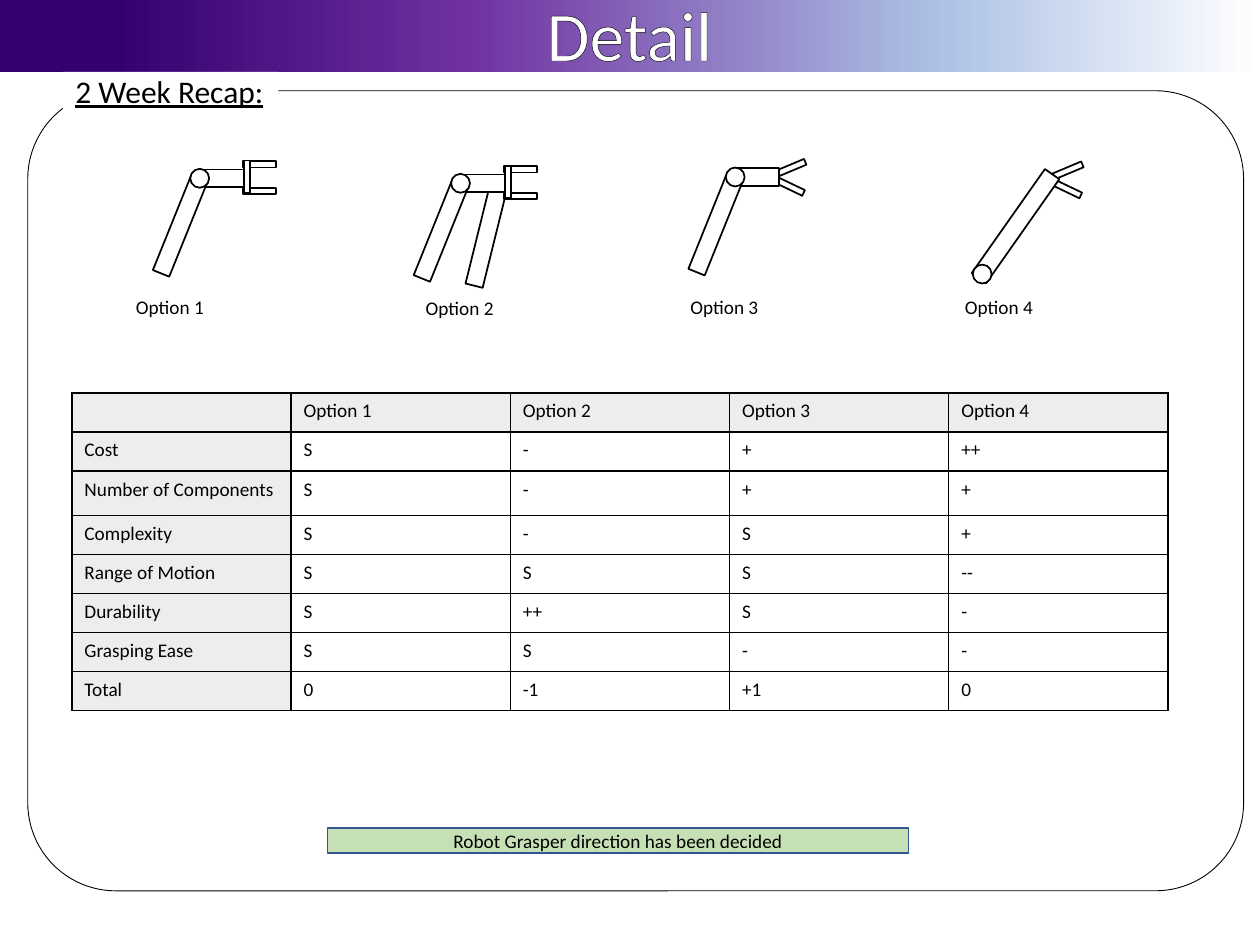
"""Build the two-week recap slide comparing four robot grasper options."""
from lxml.etree import SubElement
from pptx import Presentation
from pptx.dml.color import RGBColor
from pptx.enum.shapes import MSO_SHAPE as Shape
from pptx.enum.text import MSO_ANCHOR as Anchor, MSO_AUTO_SIZE as AutoSize, PP_ALIGN as Align
from pptx.oxml import parse_xml
from pptx.oxml.ns import nsdecls, qn
from pptx.util import Emu, Pt

PX = 9144
FONT = "Calibri"
COLORS = {"black": "000000", "white": "FFFFFF", "header": "EDEDED",
          "green": "C5E0B4", "blue": "325491"}
BANNER_STOPS = [(9, "34006F"), (37, "7030A0"), (74, "ABC0E4"), (100, "FFFFFF")]

JOINT = (Shape.OVAL, 0, 0, 15, 15, 0)
UPPER_ARM = (Shape.RECTANGLE, -15, 5, 14, 81, 22)
FOREARM = (Shape.RECTANGLE, 17, -11, 14, 37, 90)
LONG_ARM = (Shape.RECTANGLE, 27, -81, 14, 101, 35.1)
STRUT = (Shape.RECTANGLE, 21, 9, 14, 81, 13.9)
PALM = (Shape.RECTANGLE, 32, 4, 26, 5, 90)
FLAT_FINGERS = [(Shape.RECTANGLE, 42, y, 26, 5, 0) for y in (15, -6)]


def open_fingers(x, y):
    return [(Shape.RECTANGLE, x, y, 26, 5, 205.6),
            (Shape.RECTANGLE, x + 1, y - 14, 26, 5, 157.2)]


GRIPPER_ARM = [*FLAT_FINGERS, FOREARM, UPPER_ARM, JOINT, PALM]
OPTIONS = [
    ("Option 1", (151, 134), (98, 229), GRIPPER_ARM),
    ("Option 2", (358, 138), (328, 230), [STRUT, *GRIPPER_ARM]),
    ("Option 3", (576, 133), (538, 229), [*open_fingers(37, 12), FOREARM, UPPER_ARM, JOINT]),
    ("Option 4", (772, 210), (756, 229), [*open_fingers(61, -63), LONG_ARM, JOINT]),
]
SCORES = [
    ["", *(option[0] for option in OPTIONS)],
    ["Cost", "S", "-", "+", "++"],
    ["Number of Components", "S", "-", "+", "+"],
    ["Complexity", "S", "-", "S", "+"],
    ["Range of Motion", "S", "S", "S", "--"],
    ["Durability", "S", "++", "S", "-"],
    ["Grasping Ease", "S", "S", "-", "-"],
    ["Total", "0", "-1", "+1", "0"],
]
COLUMN_WIDTH, ROW_HEIGHT, TALL_ROW, TALL_HEIGHT = 174, 31, 2, 35


def px(*lengths):
    return [Emu(length * PX) for length in lengths]


def rgb(name):
    return RGBColor.from_string(COLORS[name])


def write(frame, text, size=11, color="black", align=Align.LEFT):
    paragraph = frame.paragraphs[0]
    paragraph.alignment = align
    font = paragraph.font
    font.name, font.size, font.color.rgb = FONT, Pt(size), rgb(color)
    if text:
        paragraph.add_run().text = text
    return paragraph


def add_shape(slide, kind, box, fill=None, line=None, width=1, angle=0):
    shape = slide.shapes.add_shape(kind, *px(*box))
    shape.shadow.inherit = False
    shape.rotation = angle
    if fill:
        shape.fill.solid()
        shape.fill.fore_color.rgb = rgb(fill)
    else:
        shape.fill.background()
    if line:
        shape.line.color.rgb = rgb(line)
        shape.line.width = Pt(width)
    else:
        shape.line.fill.background()
    return shape


def add_text(slide, box, text, wrap=True, **style):
    frame = slide.shapes.add_textbox(*px(*box)).text_frame
    frame.word_wrap = wrap
    frame.auto_size = AutoSize.SHAPE_TO_FIT_TEXT
    return write(frame, text, **style)


def add_banner(slide):
    banner = add_shape(slide, Shape.RECTANGLE, (0, 0, 1000, 57))
    banner.fill.gradient()
    banner.fill.gradient_angle = 0
    stops = banner.fill._fill._gradFill.find(qn("a:gsLst"))
    for stop in list(stops):
        stops.remove(stop)
    for position, color in BANNER_STOPS:
        stop = SubElement(stops, qn("a:gs"), pos=str(position * 1000))
        SubElement(stop, qn("a:srgbClr"), val=color)


def add_heading(slide):
    heading = add_shape(slide, Shape.RECTANGLE, (50, 57, 171, 30), "white")
    frame = heading.text_frame
    frame.margin_top = frame.margin_bottom = 0
    frame.vertical_anchor = Anchor.TOP
    frame.word_wrap = False
    frame.auto_size = AutoSize.SHAPE_TO_FIT_TEXT
    write(frame, "2 Week Recap:", 18).font.underline = True


def add_option(slide, name, joint, label, parts):
    for kind, x, y, width, height, angle in parts:
        box = (joint[0] + x, joint[1] + y, width, height)
        add_shape(slide, kind, box, "white", "black", angle=angle)
    add_text(slide, (*label, 75, 29), name)


def add_borders(cell):
    properties = cell._tc.get_or_add_tcPr()
    for index, side in enumerate(("lnL", "lnR", "lnT", "lnB")):
        properties.insert(index, parse_xml(
            f'<a:{side} {nsdecls("a")} w="12700"><a:solidFill>'
            f'<a:srgbClr val="{COLORS["black"]}"/></a:solidFill></a:{side}>'))


def add_scores(slide):
    rows, columns = len(SCORES), len(SCORES[0])
    box = (57, 312, columns * COLUMN_WIDTH, rows * ROW_HEIGHT)
    table = slide.shapes.add_table(rows, columns, *px(*box)).table
    for column in table.columns:
        column.width = Emu(COLUMN_WIDTH * PX)
    for r, values in enumerate(SCORES):
        table.rows[r].height = Emu((TALL_HEIGHT if r == TALL_ROW else ROW_HEIGHT) * PX)
        for c, value in enumerate(values):
            cell = table.cell(r, c)
            cell.fill.solid()
            cell.fill.fore_color.rgb = rgb("header" if r == 0 or c == 0 else "white")
            write(cell.text_frame, value).font.bold = False
            add_borders(cell)


def add_title(slide):
    title = add_text(slide, (423, -12, 153, 77), "Detail", wrap=False,
                     size=40, color="white", align=Align.CENTER)
    properties = title.runs[0].font._element if hasattr(title.runs[0].font, "_element") \
        else title.runs[0]._r.get_or_add_rPr()
    properties.insert(0, parse_xml(
        f'<a:ln {nsdecls("a")} w="0"><a:solidFill>'
        f'<a:srgbClr val="{COLORS["black"]}"/></a:solidFill></a:ln>'))


def main():
    presentation = Presentation()
    presentation.slide_width, presentation.slide_height = px(1000, 750)
    slide = presentation.slides.add_slide(presentation.slide_layouts[6])
    add_banner(slide)
    border = add_shape(slide, Shape.ROUNDED_RECTANGLE, (22, 72, 965, 635), line="black", width=0.5)
    border.adjustments[0] = 0.11
    add_heading(slide)
    for option in OPTIONS:
        add_option(slide, *option)
    add_scores(slide)
    note = add_shape(slide, Shape.RECTANGLE, (260, 657, 461, 20), "green", "blue")
    note.text_frame.vertical_anchor = Anchor.MIDDLE
    write(note.text_frame, "Robot Grasper direction has been decided", align=Align.CENTER)
    add_title(slide)
    presentation.save("out.pptx")


if __name__ == "__main__":
    main()
